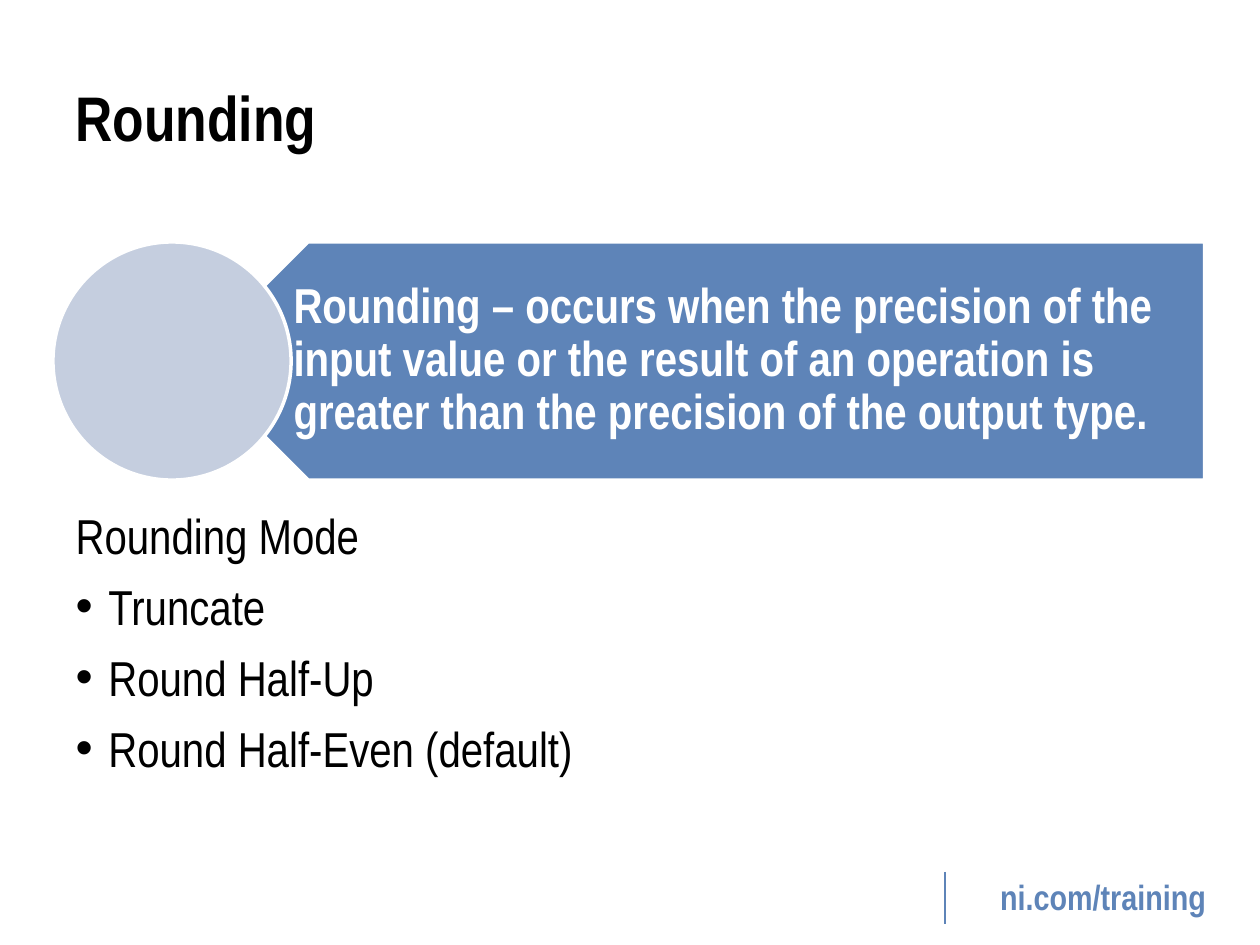
from dataclasses import dataclass

from lxml.etree import SubElement
from pptx import Presentation
from pptx.dml.color import RGBColor
from pptx.enum.shapes import MSO_CONNECTOR, MSO_SHAPE
from pptx.enum.text import MSO_ANCHOR, MSO_AUTO_SIZE, PP_ALIGN
from pptx.oxml.ns import qn
from pptx.util import Inches, Pt

FONT = "Arial Narrow"
BLUE = RGBColor(0x5E, 0x84, 0xB8)
PALE_BLUE = RGBColor(0xC5, 0xCE, 0xDF)
BLACK = RGBColor(0, 0, 0)
WHITE = RGBColor(0xFF, 0xFF, 0xFF)

BANNER_TOP, BANNER_HEIGHT = 1.92, 1.89
BANNER = (1.5, BANNER_TOP, 8.06, BANNER_HEIGHT)
CIRCLE = (0.42, BANNER_TOP, BANNER_HEIGHT, BANNER_HEIGHT)
HANGING = Inches(0.26)


@dataclass
class ListItem:
    text: str
    bulleted: bool = True


ITEMS = [
    ListItem("Rounding Mode", bulleted=False),
    ListItem("Truncate"),
    ListItem("Round Half-Up"),
    ListItem("Round Half-Even (default)"),
]


def place(sp, left: float, top: float, width: float, height: float) -> None:
    sp.left, sp.top = Inches(left), Inches(top)
    sp.width, sp.height = Inches(width), Inches(height)


def add_run(p, text: str, size: int, color: RGBColor, bold: bool = False) -> None:
    r = p.add_run()
    r.text = text
    r.font.name, r.font.size, r.font.bold = FONT, Pt(size), bold
    r.font.color.rgb = color


def set_bullet(p, bulleted: bool) -> None:
    pPr = p._p.get_or_add_pPr()
    pPr.set("marL", str(HANGING if bulleted else 0))
    pPr.set("indent", str(-HANGING if bulleted else 0))
    if bulleted:
        SubElement(pPr, qn("a:buFont"), typeface="Arial")
        SubElement(pPr, qn("a:buChar"), char="•")
    else:
        SubElement(pPr, qn("a:buNone"))


def add_text_box(s, box: tuple[float, float, float, float]):
    tf = s.shapes.add_textbox(*map(Inches, box)).text_frame
    tf.word_wrap = True
    return tf


def add_outlined_shape(s, kind: MSO_SHAPE, box: tuple[float, float, float, float],
                       fill: RGBColor, rotation: int = 0) -> None:
    sp = s.shapes.add_shape(kind, *map(Inches, box))
    sp.rotation = rotation
    sp.shadow.inherit = False
    sp.fill.solid()
    sp.fill.fore_color.rgb = fill
    sp.line.color.rgb = WHITE
    sp.line.width = Pt(2)


def add_footer(s) -> None:
    p = add_text_box(s, (7.67, 6.9, 2.17, 0.44)).paragraphs[0]
    p.alignment = PP_ALIGN.CENTER
    add_run(p, "ni.com/training", 20, BLUE, bold=True)
    rule = s.shapes.add_connector(
        MSO_CONNECTOR.STRAIGHT, *map(Inches, (7.5, 6.92, 7.5, 7.33)))
    rule.line.color.rgb = BLUE
    rule.line.width = Pt(1.5)
    SubElement(rule._element.spPr, qn("a:effectLst"))


def fill_title(title) -> None:
    place(title, 0.5, 0.3, 9, 1.25)
    tf = title.text_frame
    tf.vertical_anchor = MSO_ANCHOR.MIDDLE
    p = tf.paragraphs[0]
    p.alignment = PP_ALIGN.LEFT
    add_run(p, "Rounding", 36, BLACK, bold=True)


def fill_list(body) -> None:
    place(body, 0.5, 3.96, 9, 2.54)
    tf = body.text_frame
    tf.auto_size = MSO_AUTO_SIZE.NONE
    for i, item in enumerate(ITEMS):
        p = tf.add_paragraph() if i else tf.paragraphs[0]
        set_bullet(p, item.bulleted)
        p.space_before = Pt(7 if i else 0)
        add_run(p, item.text, 28, BLACK)


def add_banner(s) -> None:
    add_outlined_shape(s, MSO_SHAPE.PENTAGON, BANNER, BLUE, rotation=180)
    tf = add_text_box(s, BANNER)
    tf.vertical_anchor = MSO_ANCHOR.MIDDLE
    tf.margin_left, tf.margin_right = Inches(0.83), Inches(0.22)
    tf.margin_top = tf.margin_bottom = Inches(0.12)
    p = tf.paragraphs[0]
    p.line_spacing = 0.9
    add_run(p, "Rounding – occurs when the precision of the input value or the "
               "result of an operation is greater than the precision of the "
               "output type.", 28, WHITE, bold=True)
    add_outlined_shape(s, MSO_SHAPE.OVAL, CIRCLE, PALE_BLUE)


def main() -> None:
    prs = Presentation()
    prs.slide_width, prs.slide_height = Inches(10), Inches(7.5)
    s = prs.slides.add_slide(prs.slide_layouts[1])
    fill_title(s.shapes.title)
    fill_list(s.placeholders[1])
    add_banner(s)
    add_footer(s)
    prs.save("out.pptx")


if __name__ == "__main__":
    main()
